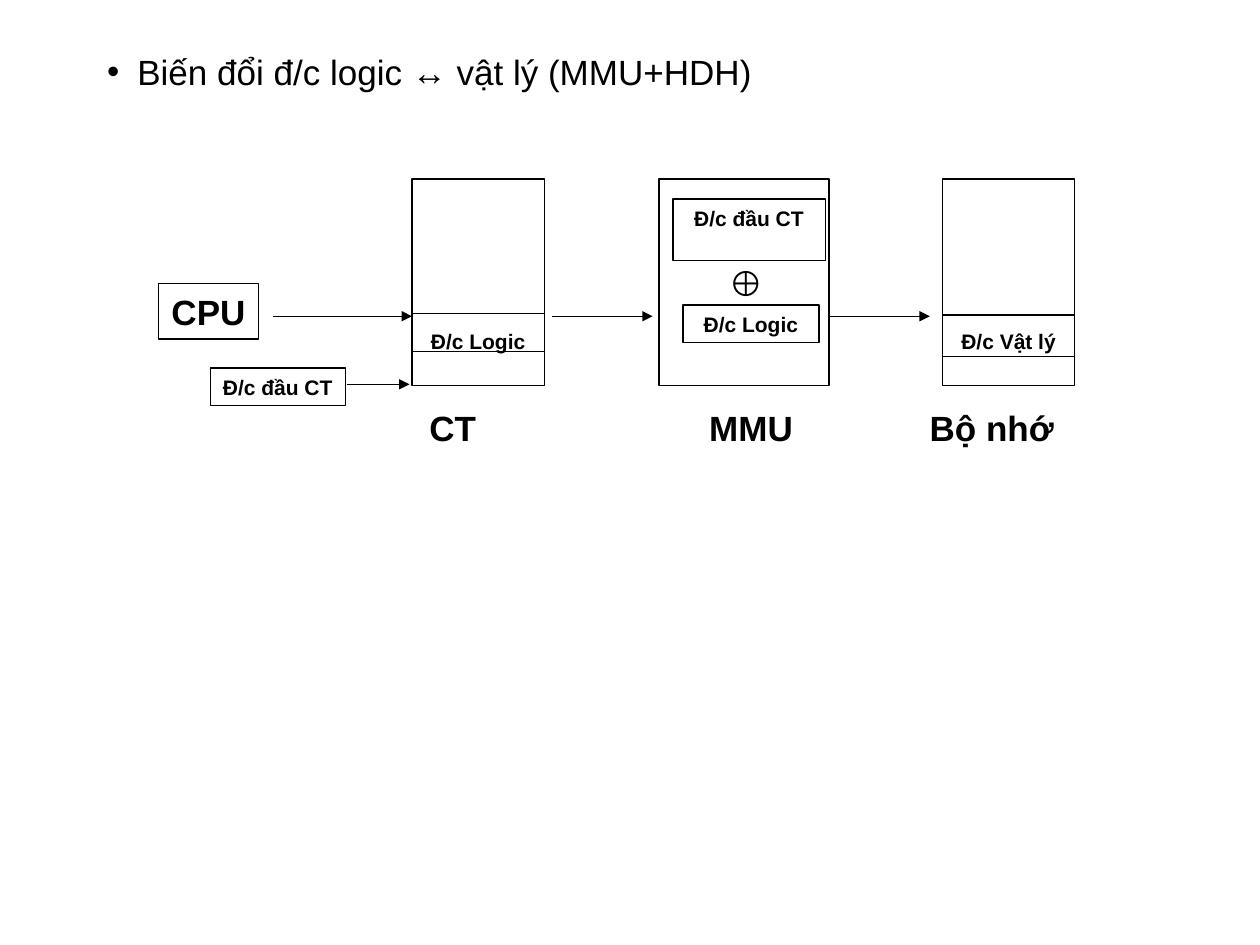
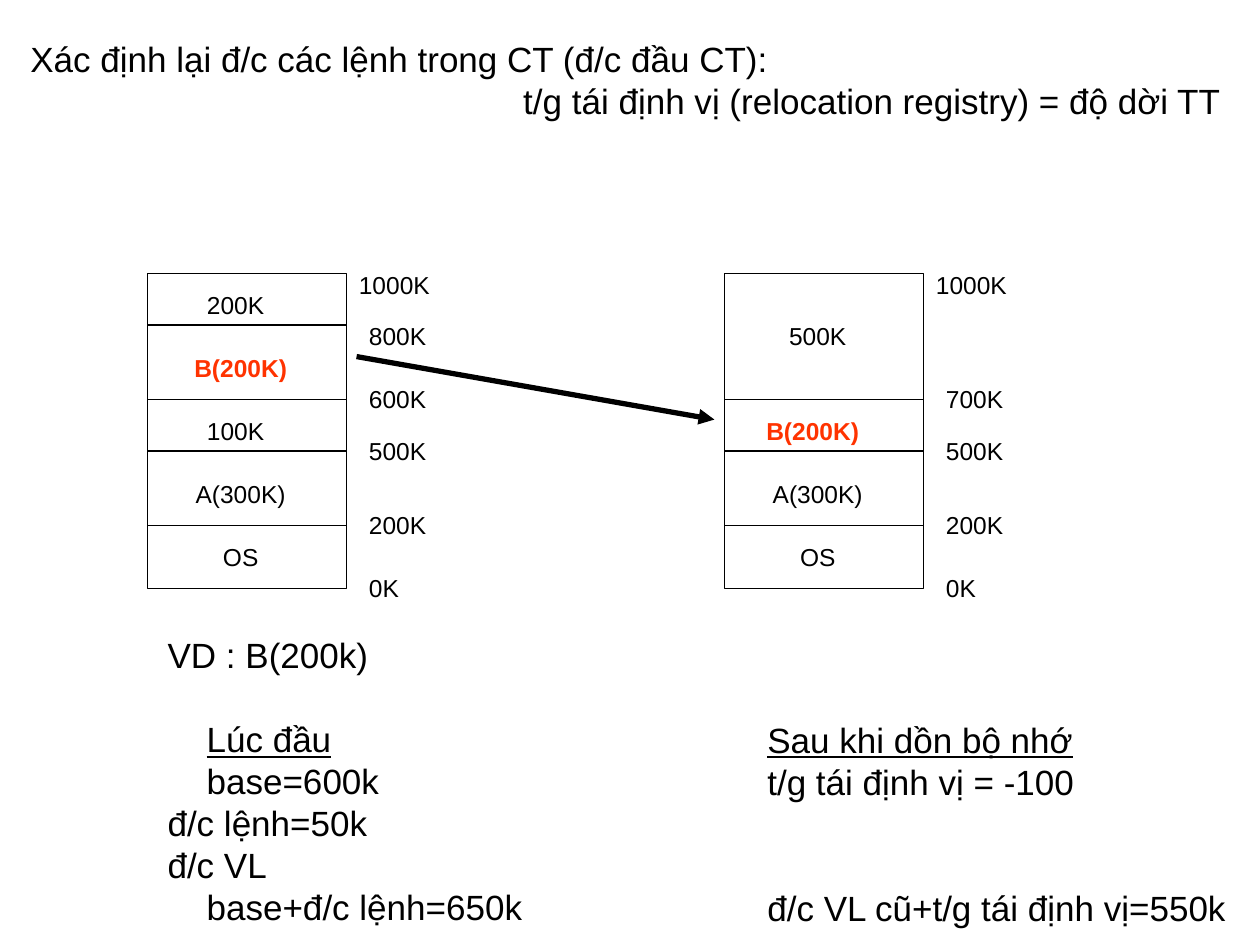
import pptx
import pptx.dml.color
import pptx.enum.shapes
import pptx.enum.text
import pptx.oxml.xmlchemy
import pptx.util

Inches = pptx.util.Inches
Pt = pptx.util.Pt
ALIGN = pptx.enum.text.PP_ALIGN
ANCHOR = pptx.enum.text.MSO_ANCHOR
FONT = "Arial"
BLACK, WHITE, RED = "000000", "FFFFFF", "FF3300"
LINE_PITCH = 24


def rgb(value):
    return pptx.dml.color.RGBColor.from_string(value)


def add_xml(parent, tag, **attrs):
    el = pptx.oxml.xmlchemy.OxmlElement(tag)
    for key, value in attrs.items():
        el.set(key, value)
    parent.append(el)


def write(tf, lines, size, bold=False, color=BLACK, align=ALIGN.LEFT,
          anchor=ANCHOR.TOP, wrap=True):
    tf.text = "\n".join(lines)
    tf.auto_size = pptx.enum.text.MSO_AUTO_SIZE.NONE
    tf.word_wrap = wrap
    tf.vertical_anchor = anchor
    tf.margin_left = tf.margin_right = Inches(0.1)
    tf.margin_top = tf.margin_bottom = Inches(0.05)
    for p in tf.paragraphs:
        p.alignment = align
        p.space_before = Pt(0)
        for r in p.runs:
            r.font.name = FONT
            r.font.size = Pt(size)
            r.font.bold = bold
            r.font.color.rgb = rgb(color)


def place(sp, x, y, w, h):
    sp.left, sp.top, sp.width, sp.height = map(Inches, (x, y, w, h))


def indent(p, left, first=0.0):
    pPr = p._p.get_or_add_pPr()
    pPr.set("marL", str(Inches(left)))
    pPr.set("indent", str(Inches(first)))
    return pPr


def plain_lines(tf):
    for p in tf.paragraphs:
        p.line_spacing = Pt(LINE_PITCH)
        add_xml(indent(p, 0), "a:buNone")


def label(s, x, y, w, h, text, size, **style):
    tb = s.shapes.add_textbox(*map(Inches, (x, y, w, h)))
    write(tb.text_frame, [text], size, **style)


def box(s, x, y, w, h, text="", size=12, fill=WHITE, anchor=ANCHOR.MIDDLE):
    kind = pptx.enum.shapes.MSO_SHAPE.RECTANGLE
    sp = s.shapes.add_shape(kind, *map(Inches, (x, y, w, h)))
    sp.shadow.inherit = False
    sp.fill.solid()
    sp.fill.fore_color.rgb = rgb(fill)
    sp.line.color.rgb = rgb(BLACK)
    sp.line.width = Pt(0.75)
    if text:
        write(sp.text_frame, [text], size, bold=True, align=ALIGN.CENTER,
              anchor=anchor, wrap=False)
    return sp


def line(s, x1, y1, x2, y2, width=0.75, arrow=False):
    kind = pptx.enum.shapes.MSO_CONNECTOR.STRAIGHT
    cn = s.shapes.add_connector(kind, *map(Inches, (x1, y1, x2, y2)))
    cn.line.color.rgb = rgb(BLACK)
    cn.line.width = Pt(width)
    if arrow:
        add_xml(cn.line._get_or_add_ln(), "a:tailEnd", type="triangle")
    add_xml(cn._element.spPr, "a:effectLst")


def address_column(s, x, y, text, cuts):
    w, h = 1.05, 1.64
    sp = box(s, x, y, w, h, text, anchor=ANCHOR.BOTTOM)
    sp.text_frame.margin_bottom = Inches(0.25)
    for cut in cuts:
        line(s, x, y + cut, x + w, y + cut)


def mmu(s, x, y):
    w, h = 1.35, 1.64
    box(s, x, y, w, h)
    box(s, x + 0.11, y + 0.16, 1.21, 0.49, "Đ/c đầu CT", anchor=ANCHOR.TOP)
    box(s, x + 0.19, y + 1, 1.08, 0.3, "Đ/c Logic")
    label(s, x + 0.44, y + 0.6, 0.5, 0.44, "⊕", 20, bold=True,
          align=ALIGN.CENTER, anchor=ANCHOR.MIDDLE)


def translation_diagram(s, x, y):
    box(s, x, y + 0.83, 0.79, 0.44, "CPU", 20)
    box(s, x + 0.41, y + 1.5, 1.07, 0.3, "Đ/c đầu CT")
    address_column(s, x + 2.01, y, "Đ/c Logic", (1.07, 1.37))
    mmu(s, x + 3.97, y)
    address_column(s, x + 6.22, y, "Đ/c Vật lý", (1.08, 1.41))
    for start, end, dy in ((0.91, 2.01, 1.09), (3.12, 3.92, 1.09),
                           (5.32, 6.12, 1.09), (1.49, 1.99, 1.63)):
        line(s, x + start, y + dy, x + end, y + dy, arrow=True)
    for dx, text in ((2.05, "CT"), (4.27, "MMU"), (6.02, "Bộ nhớ")):
        label(s, x + dx, y + 1.76, 1.4, 0.44, text, 20, bold=True)


def memory_map(s, x, y, blocks):
    w, h = 1.58, 2.5
    box(s, x, y, w, h)
    for mark, edge, text, dx, dy in blocks:
        if 0 < edge < h:
            line(s, x, y + edge, x + w, y + edge)
        lift = 0.08 if edge < 0.5 else 0.17
        gap = 0.08 if edge else 0
        label(s, x + w + gap, y + edge - lift, 0.9, 0.34, mark, 14)
        if text:
            moved = text.startswith("B")
            label(s, x + dx, y + dy, w, 0.34, text, 14, bold=moved,
                  color=RED if moved else BLACK, align=ALIGN.CENTER)


def notes_column(sp, x, y, w, h, lines):
    place(sp, x, y, w, h)
    write(sp.text_frame, lines, 20, wrap=False)
    plain_lines(sp.text_frame)
    return sp.text_frame.paragraphs


def worked_example(s, x, y):
    before = notes_column(s.placeholders[1], x, y, 4, 2.44, [
        "VD : B(200k)", "Lúc đầu", "base=600k", "đ/c lệnh=50k", "đ/c VL",
        "base+đ/c lệnh=650k"])
    after = notes_column(s.placeholders[2], x + 4.76, y + 0.67, 3.85, 1.77, [
        "Sau khi dồn bộ nhớ", "t/g tái định vị = -100",
        "đ/c VL cũ+t/g tái định vị=550k"])
    for i in (1, 2, 5):
        indent(before[i], 0.31)
    before[1].space_before = Pt(LINE_PITCH)
    after[2].space_before = Pt(2 * LINE_PITCH)
    for p in (before[1], after[0]):
        p.runs[0].font.underline = True


def address_slide(prs):
    s = prs.slides.add_slide(prs.slide_layouts[1])
    title = s.shapes.title._element
    title.getparent().remove(title)
    body = s.placeholders[1]
    place(body, 0.75, 0.35, 8.35, 0.44)
    write(body.text_frame, ["Biến đổi đ/c logic ↔ vật lý (MMU+HDH)"], 20)
    pPr = indent(body.text_frame.paragraphs[0], 0.24, -0.24)
    add_xml(pPr, "a:buChar", char="•")
    translation_diagram(s, 1.26, 1.42)


def relocation_slide(prs):
    s = prs.slides.add_slide(prs.slide_layouts[3])
    title = s.shapes.title
    place(title, 0.14, 0.25, 9.65, 0.77)
    write(title.text_frame, [
        "Xác định lại đ/c các lệnh trong CT (đ/c đầu CT):",
        "t/g tái định vị (relocation registry) = độ dời TT"], 20)
    plain_lines(title.text_frame)
    title.text_frame.paragraphs[1].alignment = ALIGN.RIGHT
    shared = [("500K", 1.41, "A(300K)", -0.05, 1.58),
              ("200K", 2, "OS", -0.05, 2.08),
              ("0K", 2.5, "", 0, 0)]
    memory_map(s, 1.17, 2.17, [("1000K", 0, "200K", -0.09, 0.08),
                               ("800K", 0.41, "B(200K)", -0.05, 0.58),
                               ("600K", 1, "100K", -0.09, 1.08)] + shared)
    memory_map(s, 5.75, 2.17, [("1000K", 0, "500K", -0.05, 0.33),
                               ("700K", 1, "B(200K)", -0.09, 1.08)] + shared)
    line(s, 2.83, 2.83, 5.67, 3.33, width=3, arrow=True)
    worked_example(s, 1.23, 4.98)


def main():
    prs = pptx.Presentation()
    prs.slide_width, prs.slide_height = Inches(10), Inches(7.5)
    address_slide(prs)
    relocation_slide(prs)
    prs.save("out.pptx")


if __name__ == "__main__":
    main()
